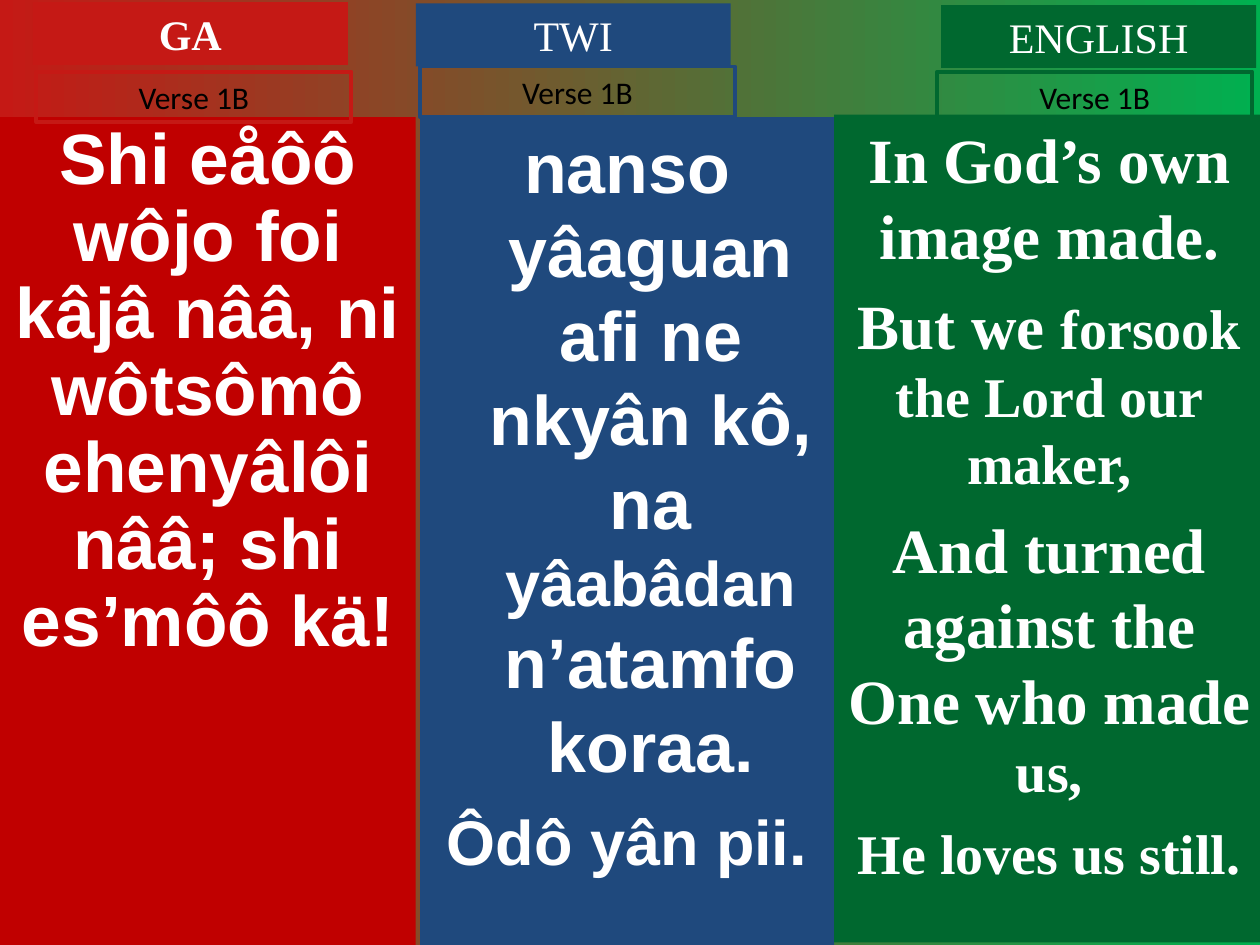
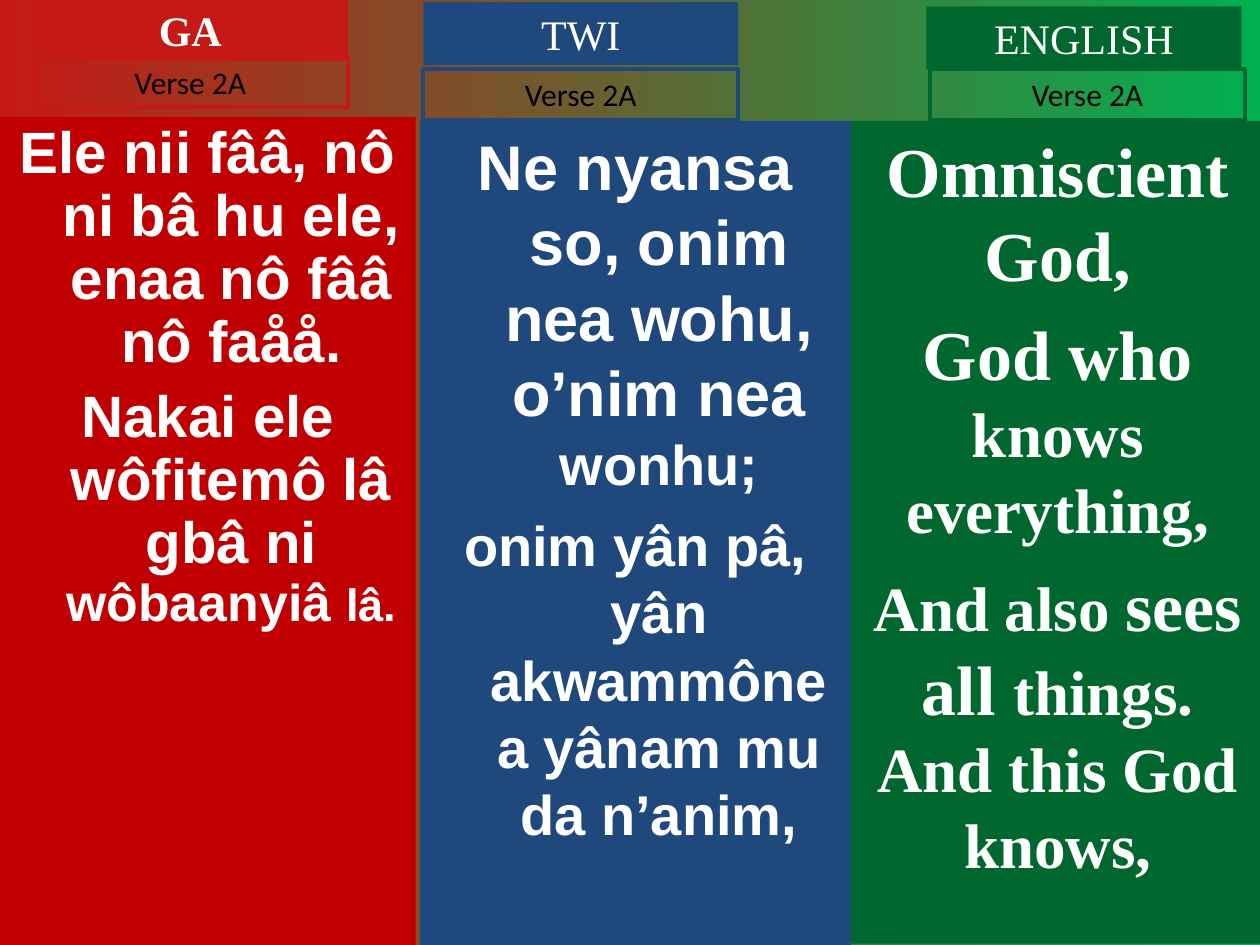
from dataclasses import dataclass
from typing import NamedTuple

from pptx import Presentation
from pptx.dml.color import RGBColor
from pptx.enum.shapes import MSO_SHAPE
from pptx.enum.text import MSO_ANCHOR, MSO_AUTO_SIZE, PP_ALIGN
from pptx.util import Pt

COLORS = {
    "red": "C51915",
    "deep red": "C00000",
    "blue": "1F497D",
    "green": "00682F",
    "bright green": "00B050",
    "white": "FFFFFF",
    "black": "000000",
}
HEADING_SIZE = (180, 36)
LABEL_SIZE = (180, 28.8)
HANGING_INDENT = 27


class Language(NamedTuple):
    name: str
    accent: str
    panel: str
    font: str
    line_spacing: float = 1.0
    bold_heading: bool = False


class Span(NamedTuple):
    text: str
    size: float


class Line(NamedTuple):
    spans: list[Span]
    space_before: float = 0


@dataclass
class Column:
    language: Language
    heading_at: tuple[float, float]
    label_at: tuple[float, float]
    panel_area: tuple[float, float, float, float]
    lines: list[Line]
    hanging: bool = False


@dataclass
class Verse:
    label: str
    columns: list[Column]


GA = Language("GA", "red", "deep red", "Arial", 0.9, True)
TWI = Language("TWI", "blue", "blue", "Arial")
ENGLISH = Language("ENGLISH", "green", "green", "Times New Roman")

VERSES = [
    Verse("Verse 1B", [
        Column(GA, (18.8, 1.2), (20.8, 41), (0, 67, 237.6, 473), [
            Line([Span("Shi eåôô wôjo foi kâjâ nââ, ni wôtsômô ehenyâlôi nââ; shi es’môô kä!", 40.7)]),
        ]),
        Column(TWI, (237.6, 2), (240, 38), (240, 67, 236.6, 473), [
            Line([Span("nanso yâaguan afi ne nkyân kô, na ", 40),
                  Span("yâabâdan ", 36),
                  Span("n’atamfo koraa.", 40)]),
            Line([Span("Ôdô yân pii.", 36)], 9),
        ], hanging=True),
        Column(ENGLISH, (537.8, 2.9), (535.6, 41), (476.6, 65.6, 246.2, 473), [
            Line([Span("In God’s own image made.", 36)]),
            Line([Span("But we ", 36), Span("forsook the Lord our maker,", 32)], 8),
            Line([Span("And turned against the One who made ", 36), Span("us,", 32)], 8),
            Line([Span("He loves us still.", 32)], 8),
        ]),
    ]),
    Verse("Verse 2A", [
        Column(GA, (18.8, -1.2), (18.8, 32.4), (0, 67, 237.6, 473), [
            Line([Span("Ele nii fââ, nô ni bâ hu ele, enaa nô fââ nô faåå.", 33.3)]),
            Line([Span("Nakai ele wôfitemô lâ gbâ ni ", 33.3),
                  Span("wôbaanyiâ ", 29.6),
                  Span("lâ.", 25.9)], 7),
        ], hanging=True),
        Column(TWI, (241.9, 1.2), (241.9, 39.6), (240, 69.1, 246.2, 470.9), [
            Line([Span("Ne nyansa so, onim nea wohu, o’nim nea ", 36), Span("wonhu;", 32)]),
            Line([Span("onim yân pâ, yân akwammône a yânam mu da n’anim,", 32)], 8),
        ], hanging=True),
        Column(ENGLISH, (529.4, 3.6), (531.4, 39.6), (486, 69.1, 236.9, 470.2), [
            Line([Span("Omniscient God,", 40)]),
            Line([Span("God who ", 40), Span("knows everything,", 36)], 9),
            Line([Span("And also ", 36),
                  Span("sees all ", 40),
                  Span("things. And this God knows,", 36)], 9),
        ]),
    ]),
]


def color(name: str) -> RGBColor:
    return RGBColor.from_string(COLORS[name])


def set_values(target, values: dict) -> None:
    for name, value in values.items():
        setattr(target, name, value)


def add_box(page, area, fill: str | None = None, outline: str | None = None):
    box = page.shapes.add_shape(MSO_SHAPE.RECTANGLE, *map(Pt, area))
    box.shadow.inherit = False
    if fill:
        box.fill.solid()
        box.fill.fore_color.rgb = color(fill)
    else:
        box.fill.background()
    if outline:
        box.line.color.rgb = color(outline)
        box.line.width = Pt(2.25)
    else:
        box.line.fill.background()
    set_values(box.text_frame, {
        "word_wrap": True,
        "vertical_anchor": MSO_ANCHOR.TOP,
        "margin_left": Pt(7.2),
        "margin_right": Pt(7.2),
        "margin_top": Pt(3.6),
        "margin_bottom": Pt(3.6),
    })
    return box


def add_span(para, span: Span, font: str, ink: str, bold: bool) -> None:
    run = para.add_run()
    run.text = span.text
    set_values(run.font, {"name": font, "size": Pt(span.size), "bold": bold})
    run.font.color.rgb = color(ink)


def add_caption(box, span: Span, font: str, ink: str, bold: bool = False) -> None:
    """Write one centred line in a box that fits its text."""
    box.text_frame.auto_size = MSO_AUTO_SIZE.SHAPE_TO_FIT_TEXT
    para = box.text_frame.paragraphs[0]
    para.alignment = PP_ALIGN.CENTER
    add_span(para, span, font, ink, bold)


def add_panel(page, column: Column) -> None:
    language = column.language
    frame = add_box(page, column.panel_area, fill=language.panel).text_frame
    for index, line in enumerate(column.lines):
        para = frame.add_paragraph() if index else frame.paragraphs[0]
        set_values(para, {
            "alignment": PP_ALIGN.CENTER,
            "line_spacing": language.line_spacing,
            "space_before": Pt(line.space_before),
        })
        if column.hanging:
            properties = para._p.get_or_add_pPr()
            properties.set("marL", str(Pt(HANGING_INDENT)))
            properties.set("indent", str(-Pt(HANGING_INDENT)))
        for span in line.spans:
            add_span(para, span, language.font, "white", True)


def add_column(page, column: Column, label: str) -> None:
    language = column.language
    add_panel(page, column)
    heading = add_box(page, column.heading_at + HEADING_SIZE, fill=language.accent)
    add_caption(heading, Span(language.name, 24), "Times New Roman", "white", language.bold_heading)
    label_box = add_box(page, column.label_at + LABEL_SIZE, outline=language.accent)
    add_caption(label_box, Span(label, 18), "Calibri", "black")


def paint_background(page) -> None:
    fill = page.background.fill
    fill.gradient()
    fill.gradient_angle = 0
    for stop, position, name in zip(fill.gradient_stops, (0, 1), ("red", "bright green")):
        stop.position = position
        stop.color.rgb = color(name)


def main() -> None:
    deck = Presentation()
    set_values(deck, {"slide_width": Pt(720), "slide_height": Pt(540)})
    blank_layout = deck.slide_layouts[6]
    for verse in VERSES:
        page = deck.slides.add_slide(blank_layout)
        paint_background(page)
        for column in verse.columns:
            add_column(page, column, verse.label)
    deck.save("out.pptx")


if __name__ == "__main__":
    main()
